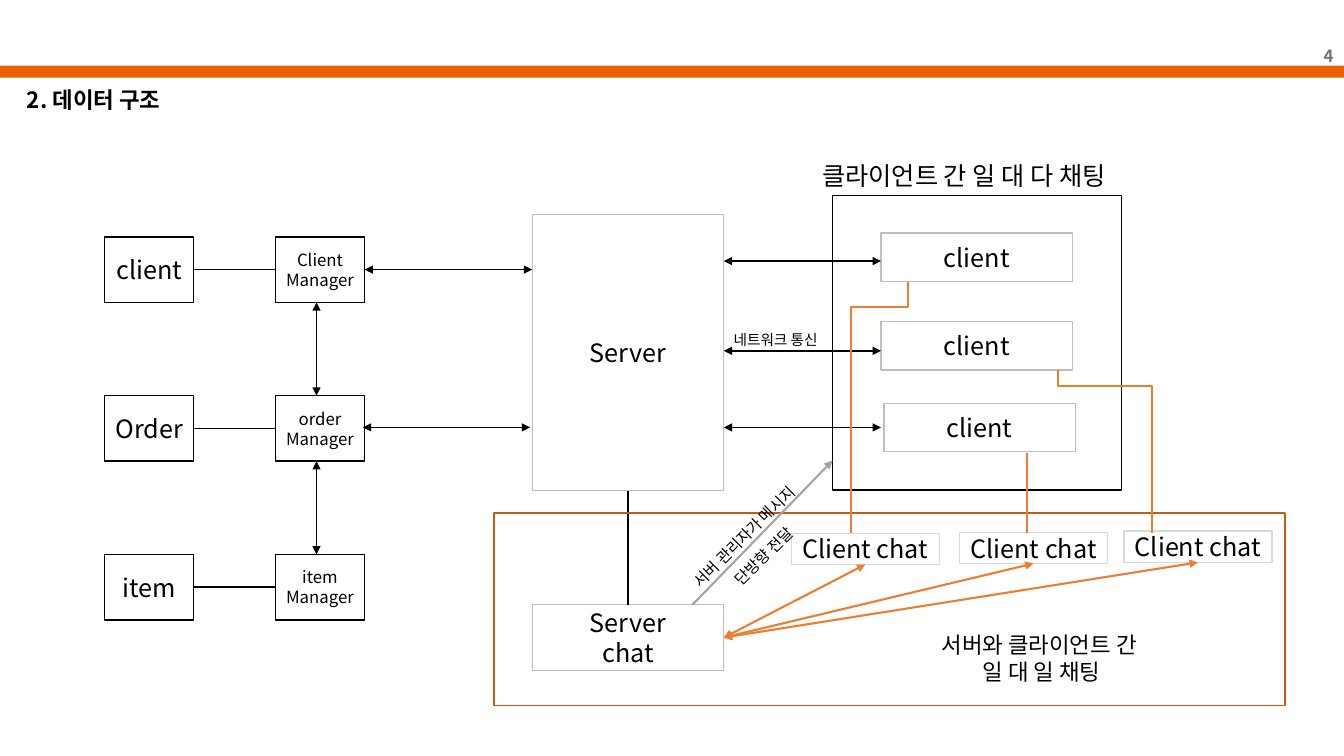
from lxml import etree
from pptx import Presentation
from pptx import util as u
from pptx.dml.color import RGBColor
from pptx.enum import shapes, text
from pptx.oxml import ns

Pt = u.Pt
FONT = "Noto Sans CJK KR"
BLACK = RGBColor(0x00, 0x00, 0x00)
PAGE_GREY = RGBColor(0x76, 0x71, 0x71)
MID_GREY = RGBColor(0xA5, 0xA5, 0xA5)
BOX_GREY = RGBColor(0xBF, 0xBF, 0xBF)
PALE_GREY = RGBColor(0xD9, 0xD9, 0xD9)
BAR_ORANGE = RGBColor(0xEB, 0x61, 0x00)
LINK_ORANGE = RGBColor(0xED, 0x7D, 0x31)
FRAME_ORANGE = RGBColor(0xC5, 0x5A, 0x11)

CENTER = text.PP_ALIGN.CENTER
MIDDLE = text.MSO_ANCHOR.MIDDLE
GROW = text.MSO_AUTO_SIZE.SHAPE_TO_FIT_TEXT
TOP, LEFT, BOTTOM, RIGHT = range(4)


def apply(target, values):
    for name, value in values.items():
        setattr(target, name, value)


def sub(parent, tag, **attributes):
    return etree.SubElement(parent, ns.qn(tag), **attributes)


def write(frame, words, size, color=BLACK, bold=False, paragraph_format=None, **frame_format):
    """Fill a text frame, one paragraph for each line of words."""
    apply(frame, frame_format)
    for index, line in enumerate(words.split("\n")):
        paragraph = frame.add_paragraph() if index else frame.paragraphs[0]
        apply(paragraph, paragraph_format or {})
        run = paragraph.add_run()
        run.text = line
        apply(run.font, {"name": FONT, "size": Pt(size), "bold": bold})
        run.font.color.rgb = color
        sub(run.font._element, "a:ea", typeface=FONT)


def add_box(slide, x, y, w, h, words="", size=18, line=BLACK):
    """Unfilled outlined rectangle with centred words."""
    box = slide.shapes.add_shape(shapes.MSO_SHAPE.RECTANGLE, Pt(x), Pt(y), Pt(w), Pt(h))
    box.shadow.inherit = False
    box.fill.background()
    box.line.color.rgb = line
    box.line.width = Pt(1)
    if words:
        write(box.text_frame, words, size, paragraph_format={"alignment": CENTER},
              vertical_anchor=MIDDLE, word_wrap=False)
    return box


def add_label(slide, x, y, w, h, words, size, rotation=0, **text_format):
    label = slide.shapes.add_textbox(Pt(x), Pt(y), Pt(w), Pt(h))
    label.rotation = rotation
    write(label.text_frame, words, size, word_wrap=True, **text_format)


def style_line(connector, color, width, ends=()):
    connector.line.color.rgb = color
    connector.line.width = Pt(width)
    for end in ends:
        sub(connector.line._get_or_add_ln(), "a:" + end, type="triangle")
    sub(connector._element.spPr, "a:effectLst")


def add_link(slide, start, finish, color=BLACK, width=1, ends=()):
    """Straight line; each end is a point or a (box, side) pair."""
    points = [(0, 0) if hasattr(end[0], "shape_type") else end for end in (start, finish)]
    link = slide.shapes.add_connector(shapes.MSO_CONNECTOR.STRAIGHT,
                                      *(Pt(v) for point in points for v in point))
    for end, join in ((start, link.begin_connect), (finish, link.end_connect)):
        if hasattr(end[0], "shape_type"):
            join(*end)
    style_line(link, color, width, ends)


def add_elbow(slide, x1, y1, x2, y2, bend):
    """Elbow that leaves downwards; bend is the share of the drop before the turn."""
    length, breadth = y2 - y1, abs(x2 - x1)
    x, y = (x1 + x2 - length) / 2, (y1 + y2 - breadth) / 2
    elbow = slide.shapes.add_connector(shapes.MSO_CONNECTOR.ELBOW, Pt(x), Pt(y),
                                       Pt(x + length), Pt(y + breadth))
    xfrm = elbow._element.spPr.find(ns.qn("a:xfrm"))
    xfrm.set("rot", str((90 if x2 < x1 else 270) * 60000))
    if x2 > x1:
        xfrm.set("flipH", "1")
    guides = elbow._element.spPr.find(ns.qn("a:prstGeom")).find(ns.qn("a:avLst"))
    sub(guides, "a:gd", name="adj1", fmla=f"val {round(bend * 100000)}")
    style_line(elbow, LINK_ORANGE, 1.5)


def main():
    prs = Presentation()
    prs.slide_width, prs.slide_height = Pt(960), Pt(540)
    slide = prs.slides.add_slide(prs.slide_layouts[6])
    both, tail = ("headEnd", "tailEnd"), ("tailEnd",)
    centered = {"alignment": CENTER}

    # Header
    bar = add_box(slide, 0, 46.8, 960, 8.6)
    bar.fill.solid()
    bar.fill.fore_color.rgb = BAR_ORANGE
    bar.line.fill.background()
    add_label(slide, 911.5, 25.2, 48.2, 28.8, "4", 12, color=PAGE_GREY, bold=True,
              vertical_anchor=MIDDLE, paragraph_format={"alignment": text.PP_ALIGN.RIGHT})
    add_label(slide, 12.2, 56.9, 255.6, 28.8, "2. 데이터 구조", 16, bold=True,
              vertical_anchor=MIDDLE)

    # Server and its chat
    server = add_box(slide, 380.2, 153.2, 136.8, 197.3, "Server", line=BOX_GREY)
    server_chat = add_box(slide, 380.2, 432, 136.8, 46.8, "Server\nchat", line=BOX_GREY)
    add_link(slide, (server, BOTTOM), (server_chat, TOP), width=1.5)

    # Data entities and their managers
    managers = []
    for row, (entity, owner) in enumerate((("client", "Client"), ("Order", "order"),
                                           ("item", "item"))):
        y = 169.2 + 113.4 * row
        data = add_box(slide, 74.8, y, 63.6, 46.8, entity)
        manager = add_box(slide, 196.8, y, 63.6, 46.8, owner + "\nManager", 12)
        add_link(slide, (data, RIGHT), (manager, LEFT))
        managers.append(manager)
        if row:
            add_link(slide, (226.1, y - 66.6), (226.1, y), ends=both)
    add_link(slide, (managers[0], RIGHT), (380.2, 192.6), ends=both)
    add_link(slide, (259.2, 305.3), (378.7, 305.3), ends=both)

    # Network clients
    add_box(slide, 594.7, 139.7, 206.6, 210.5)
    add_label(slide, 580.3, 110.9, 252, 28.8, "클라이언트 간 일 대 다 채팅", 18, auto_size=GROW)
    for x, y, link_y in ((629.3, 166.3, 186.5), (629.3, 229.7, 250.6), (631.4, 288, 305.3)):
        add_box(slide, x, y, 136.8, 34.6, "client", line=BOX_GREY)
        add_link(slide, (517, link_y), (629.3, link_y), ends=both)
    add_label(slide, 517, 232.6, 82.8, 20.2, "네트워크 통신", 10.5, auto_size=GROW)

    # One-to-one chat
    add_box(slide, 352.8, 366.5, 565.2, 137.5, line=FRAME_ORANGE)
    add_label(slide, 624.2, 447.1, 236.2, 46.1, "서버와 클라이언트 간\n 일 대 일 채팅", 16,
              paragraph_format=centered, auto_size=GROW)
    for x, y in ((565.2, 380.9), (685.4, 380.2), (802.8, 379.4)):
        client_chat = add_box(slide, x, y, 105.8, 22.3, "Client chat", line=PALE_GREY)
        add_link(slide, (server_chat, RIGHT), (client_chat, BOTTOM), LINK_ORANGE, 1.5, both)

    # Links from clients to their chats
    add_elbow(slide, 648.7, 201.6, 607.7, 380.9, 0.1)
    add_elbow(slide, 756, 264.2, 823, 380.9, 0.1)
    add_link(slide, (733.7, 323.3), (733.7, 380.9), LINK_ORANGE, 1.5)

    # Broadcast from the server manager
    add_link(slide, (494.6, 432), (594.7, 329), MID_GREY, 1.5, tail)
    add_label(slide, 472.3, 364.3, 128.2, 47.5, "서버 관리자가 메시지 단방향 전달", 11, rotation=315.2,
              paragraph_format={"alignment": CENTER, "line_spacing": 1.5}, auto_size=GROW)

    prs.save("out.pptx")


if __name__ == "__main__":
    main()
